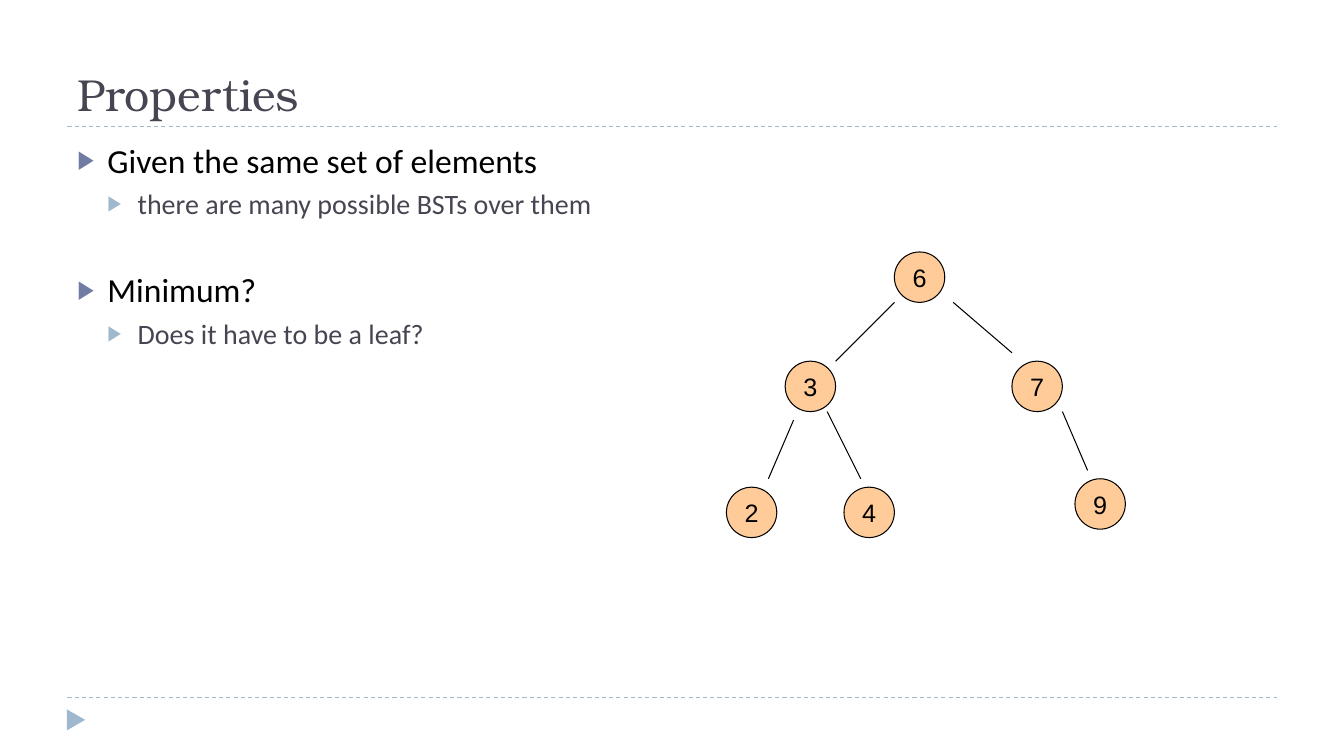
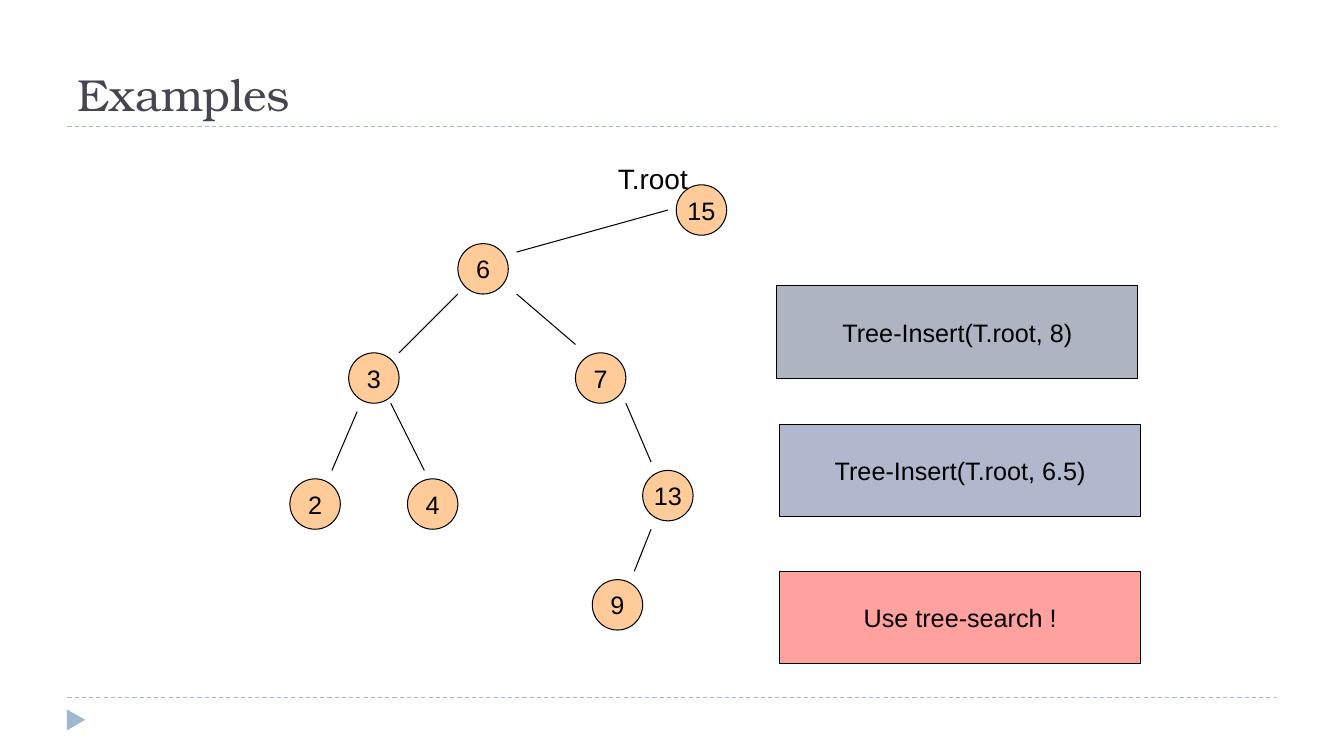
from lxml import etree
from pptx import Presentation
from pptx.dml.color import RGBColor
from pptx.enum import dml, shapes, text
from pptx.oxml.ns import qn
from pptx.util import Cm, Pt

COLORS = {"ink": "000000", "title": "464653", "rule": "9FB8CD", "bullet": "727CA3",
          "node": "FFCC99", "slate": "6E7792", "red": "FF5751"}
RGB = {name: RGBColor.from_string(value) for name, value in COLORS.items()}
HEAD_FONT, BODY_FONT, TREE_FONT = "TeX Gyre Bonum", "Calibri", "Arial"
GRID = 2.54 / 12  # tree grid step in cm
NODE = 6 * GRID

prs = Presentation()
prs.slide_width, prs.slide_height = Cm(33.87), Cm(19.05)


def add_run(p, words, size, color, font):
    r = p.add_run()
    r.text = words
    r.font.size, r.font.name = Pt(size), font
    r.font.color.rgb = RGB[color]


def add_line(s, x1, y1, x2, y2, color, dash=None):
    ln = s.shapes.add_connector(shapes.MSO_CONNECTOR.STRAIGHT,
                                Cm(x1), Cm(y1), Cm(x2), Cm(y2))
    ln.line.color.rgb, ln.line.width = RGB[color], Pt(0.75)
    ln.line.dash_style = dash
    etree.SubElement(ln._element.spPr, qn("a:effectLst"))


# Shared frame: title, dashed rules and corner triangle
slides = []
for heading in ("Properties", "Examples"):
    s = prs.slides.add_slide(prs.slide_layouts[5])
    for y in (17.58, 3.18):
        add_line(s, 1.7, y, 32.18, y, "rule", dml.MSO_LINE.DASH)
    sp = s.shapes.add_shape(shapes.MSO_SHAPE.ISOSCELES_TRIANGLE,
                            Cm(1.65), Cm(17.91), Cm(0.53), Cm(0.46))
    sp.rotation = 90
    sp.shadow.inherit = False
    sp.fill.solid()
    sp.fill.fore_color.rgb = RGB["rule"]
    sp.line.fill.background()
    title = s.shapes.title
    title.left, title.top, title.width, title.height = Cm(1.7), Cm(0.43), Cm(30.48), Cm(2.74)
    tf = title.text_frame
    tf.vertical_anchor = text.MSO_ANCHOR.BOTTOM
    p = tf.paragraphs[0]
    p.alignment = text.PP_ALIGN.LEFT
    add_run(p, heading, 32, "title", HEAD_FONT)
    slides.append(s)
properties, examples = slides

# Bulleted list: level, space before, words
BULLETS = [(0, 0, "Given the same set of elements"),
           (1, 5, "there are many possible BSTs over them"),
           (0, 35, "Minimum?"),
           (1, 5, "Does it have to be a leaf?")]
LEVELS = [(24, "ink", "bullet"), (20, "title", "rule")]
tf = properties.shapes.add_textbox(Cm(1.7), Cm(3.39), Cm(30.48), Cm(13.72)).text_frame
tf.word_wrap = True
for i, (level, gap, words) in enumerate(BULLETS):
    size, color, mark = LEVELS[level]
    p = tf.add_paragraph() if i else tf.paragraphs[0]
    p.level = level
    p.space_before = Pt(gap)
    pPr = p._p.get_or_add_pPr()
    pPr.set("marL", str(Cm(0.76 * (level + 1))))
    pPr.set("indent", str(-Cm(0.76)))
    clr = etree.SubElement(pPr, qn("a:buClr"))
    etree.SubElement(clr, qn("a:srgbClr"), val=COLORS[mark])
    etree.SubElement(pPr, qn("a:buSzPct"), val="76000")
    etree.SubElement(pPr, qn("a:buFont"), typeface="Arial")
    etree.SubElement(pPr, qn("a:buChar"), char="▶")
    add_run(p, words, size, color, BODY_FONT)

# Trees, in grid steps from the top left of node 6
CORE_NODES = [("6", 0, 0), ("3", -13, 13), ("2", -20, 28), ("4", -6, 28), ("7", 14, 13)]
CORE_EDGES = [(0, 6, -7, 13), (-12, 20, -15, 27), (-8, 19, -4, 27),
              (7, 6, 14, 12), (20, 19, 23, 26)]
TREES = [(properties, 22.54, 6.35, [("9", 21.5, 27)], []),
         (examples, 11.54, 6.14, [("15", 26, -7), ("13", 22, 27), ("9", 16, 40)],
          [(25, -4, 7, 1), (23, 34, 21, 39)])]
blocks = []
for s, x0, y0, nodes, edges in TREES:
    for label, col, row in CORE_NODES + nodes:
        blocks.append((s, shapes.MSO_SHAPE.OVAL, x0 + col * GRID, y0 + row * GRID,
                       NODE, NODE, "node", 100, label))
    for c1, r1, c2, r2 in CORE_EDGES + edges:
        add_line(s, x0 + c1 * GRID, y0 + r1 * GRID, x0 + c2 * GRID, y0 + r2 * GRID, "ink")

# Operation boxes
for x, y, fill, label in [(19.58, 7.2, "slate", "Tree-Insert(T.root, 8)"),
                          (19.65, 10.69, "bullet", "Tree-Insert(T.root, 6.5)"),
                          (19.65, 14.39, "red", "Use tree-search !")]:
    blocks.append((examples, shapes.MSO_SHAPE.RECTANGLE, x, y, 9.1, 2.33, fill, 55, label))

# Draw nodes and boxes
for s, kind, x, y, w, h, fill, opacity, label in blocks:
    sp = s.shapes.add_shape(kind, Cm(x), Cm(y), Cm(w), Cm(h))
    sp.shadow.inherit = False
    sp.fill.solid()
    sp.fill.fore_color.rgb = RGB[fill]
    if opacity < 100:
        clr = sp._element.spPr.find(qn("a:solidFill")).find(qn("a:srgbClr"))
        etree.SubElement(clr, qn("a:alpha"), val=str(opacity * 1000))
    sp.line.color.rgb, sp.line.width = RGB["ink"], Pt(0.75)
    tf = sp.text_frame
    tf.word_wrap = False
    tf.vertical_anchor = text.MSO_ANCHOR.MIDDLE
    p = tf.paragraphs[0]
    p.alignment = text.PP_ALIGN.CENTER
    add_run(p, label, 18, "ink", TREE_FONT)

# Root label
tf = examples.shapes.add_textbox(Cm(15.32), Cm(3.94), Cm(4.01), Cm(1.12)).text_frame
tf.word_wrap = True
add_run(tf.paragraphs[0], "T.root", 20, "ink", TREE_FONT)

prs.save("out.pptx")
